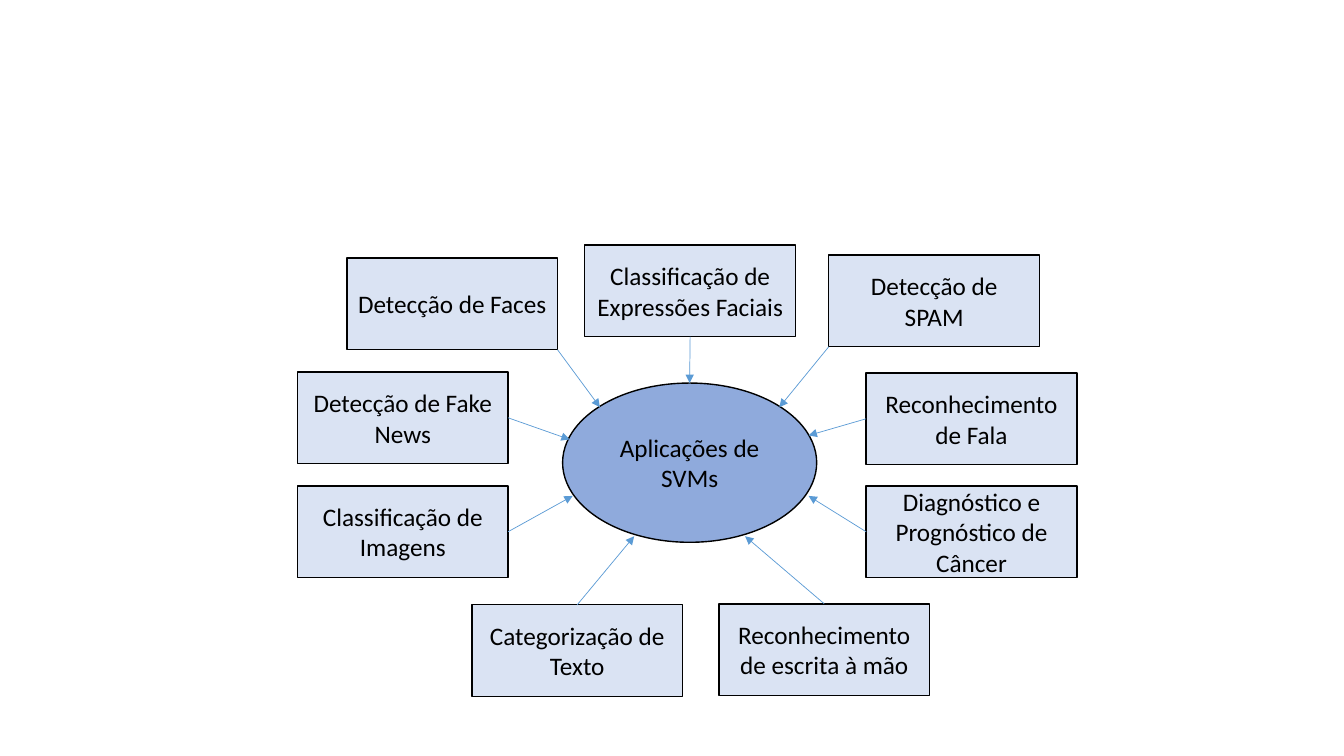
from lxml.etree import SubElement
from pptx import Presentation
from pptx.dml.color import RGBColor
from pptx.enum.shapes import MSO_CONNECTOR, MSO_SHAPE
from pptx.enum.text import MSO_ANCHOR, PP_ALIGN
from pptx.oxml.ns import qn
from pptx.util import Inches, Pt

COLORS = {"hub": "8FAADC", "application": "DAE3F3", "outline": "000000",
          "text": "000000", "arrow": "5B9BD5"}
FONT = "Calibri"

HUB_TEXT = "Aplicações de\nSVMs"
HUB_PLACE = (5.58, 3.8, 2.52, 1.58)
BOX_SIZE = (2.09, 0.91)

# Where an arrow leaves its box, as fractions of the box width and height
TOP, BOTTOM, LEFT, RIGHT = (0.5, 0), (0.5, 1), (0, 0.5), (1, 0.5)
BOTTOM_LEFT, BOTTOM_RIGHT = (0, 1), (1, 1)

# Text, box left and top, arrow exit, arrow tip on the hub
APPLICATIONS = [
    ("Detecção de Faces", (3.44, 2.56), BOTTOM_RIGHT, (5.95, 4.04)),
    ("Detecção de Fake News", (2.95, 3.69), RIGHT, (5.65, 4.36)),
    ("Classificação de Imagens", (2.95, 4.82), RIGHT, (5.68, 4.92)),
    ("Categorização de Texto", (4.68, 6), TOP, (6.29, 5.32)),
    ("Reconhecimento de escrita à mão", (7.13, 5.99), TOP, (7.39, 5.32)),
    ("Classificação de Expressões Faciais", (5.8, 2.43), BOTTOM, (6.84, 3.8)),
    ("Reconhecimento de Fala", (8.59, 3.7), LEFT, (8.02, 4.32)),
    ("Diagnóstico e Prognóstico de Câncer", (8.59, 4.82), LEFT, (8.02, 4.92)),
    ("Detecção de SPAM", (8.22, 2.53), BOTTOM_LEFT, (7.73, 4.04)),
]


def add_node(slide, kind, place, text, fill):
    """Add an outlined shape with centred text."""
    node = slide.shapes.add_shape(kind, *map(Inches, place))
    node.shadow.inherit = False
    node.fill.solid()
    node.fill.fore_color.rgb = RGBColor.from_string(COLORS[fill])
    node.line.color.rgb = RGBColor.from_string(COLORS["outline"])
    node.line.width = Pt(1)
    frame = node.text_frame
    frame.text = text
    frame.word_wrap = True
    frame.vertical_anchor = MSO_ANCHOR.MIDDLE
    for paragraph in frame.paragraphs:
        paragraph.alignment = PP_ALIGN.CENTER
        for run in paragraph.runs:
            run.font.name = FONT
            run.font.size = Pt(18)
            run.font.color.rgb = RGBColor.from_string(COLORS["text"])


def add_arrow(slide, start, tip):
    """Add a thin straight arrow from start to tip."""
    arrow = slide.shapes.add_connector(
        MSO_CONNECTOR.STRAIGHT, *map(Inches, start + tip))
    arrow.line.color.rgb = RGBColor.from_string(COLORS["arrow"])
    arrow.line.width = Pt(0.5)
    SubElement(arrow.line._get_or_add_ln(), qn("a:tailEnd"), type="triangle")
    SubElement(arrow._element.spPr, qn("a:effectLst"))


def build():
    """Build the slide and save it."""
    deck = Presentation()
    deck.slide_width, deck.slide_height = Inches(13.33), Inches(7.5)
    slide = deck.slides.add_slide(deck.slide_layouts[6])
    add_node(slide, MSO_SHAPE.OVAL, HUB_PLACE, HUB_TEXT, "hub")
    for text, corner, _, _ in APPLICATIONS:
        add_node(slide, MSO_SHAPE.RECTANGLE, corner + BOX_SIZE, text,
                 "application")
    for _, corner, leaving, tip in APPLICATIONS:
        start = tuple(edge + size * share for edge, size, share
                      in zip(corner, BOX_SIZE, leaving))
        add_arrow(slide, start, tip)
    deck.save("out.pptx")


build()
